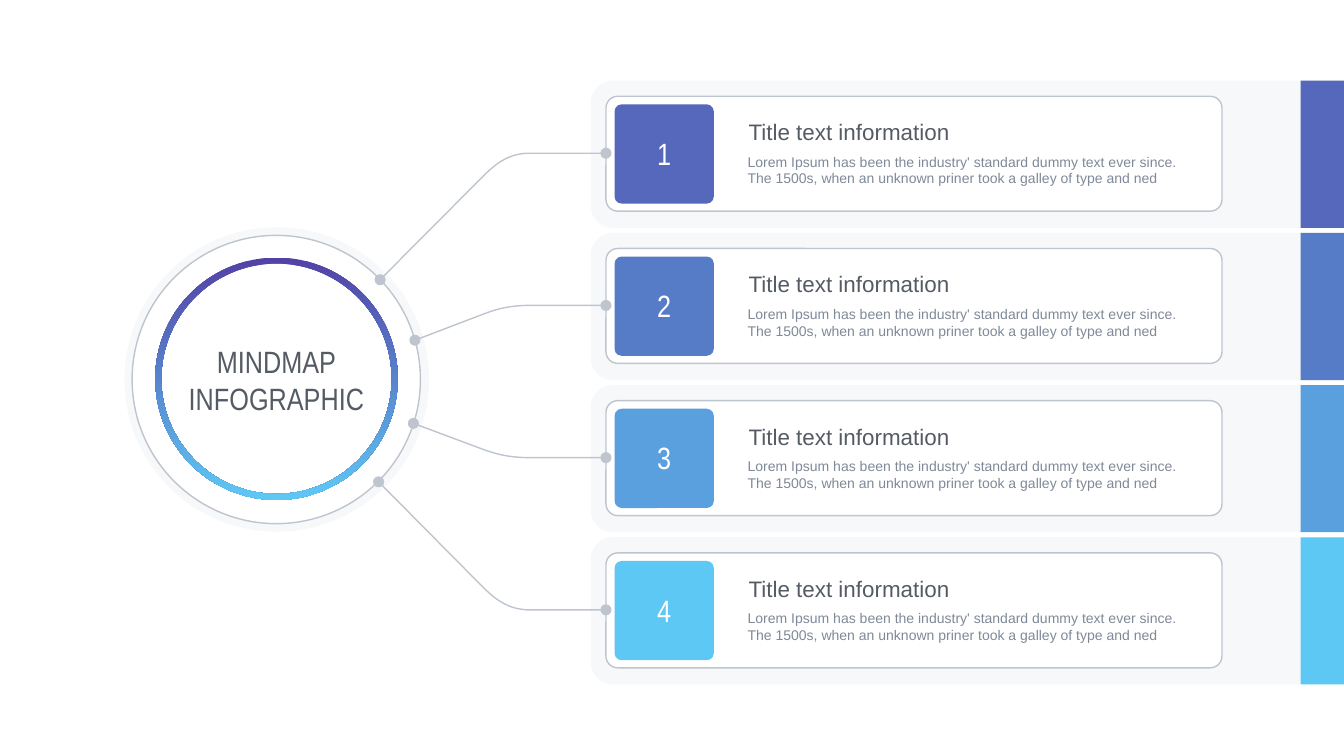
from dataclasses import dataclass

from lxml.etree import SubElement
from pptx import Presentation
from pptx.dml.color import RGBColor
from pptx.enum.shapes import MSO_SHAPE
from pptx.enum.text import MSO_ANCHOR, MSO_AUTO_SIZE, PP_ALIGN
from pptx.oxml.ns import qn
from pptx.util import Inches, Pt

INK, MUTED, GREY, PALE, WHITE = "555B64", "7F8998", "BFC5CE", "EFF0F5", "FFFFFF"
PITCH = 3.02  # distance from one row to the next
DOT = 0.22
LINK_END = 12.02
HEADING = "Title text information"
BODY = ("Lorem Ipsum has been the industry' standard dummy text ever since. "
        "The 1500s, when an unknown priner took a galley of type and ned")


@dataclass(frozen=True)
class Branch:
    color: str
    start: tuple[float, float]  # dot on the hub circle
    rise: float  # height of the knee above (-) or below (+) the row's link


@dataclass(frozen=True)
class TextStyle:
    size: int
    font: str
    color: str
    align: PP_ALIGN = PP_ALIGN.LEFT
    anchor: MSO_ANCHOR = MSO_ANCHOR.TOP
    wrap: bool = True
    inset: tuple[float, float] = (0.1, 0.05)


BRANCHES = [
    Branch("5568BC", (7.54, 5.55), 0.42),
    Branch("567BC7", (8.23, 6.75), 0.16),
    Branch("5AA0DF", (8.2, 8.4), -0.15),
    Branch("5EC8F5", (7.51, 9.56), -0.41),
]
CENTRED = {"align": PP_ALIGN.CENTER, "anchor": MSO_ANCHOR.MIDDLE, "inset": (0.06, 0.06)}
HUB_STYLE = TextStyle(44, "Arial Narrow", INK, **CENTRED)
NUMBER_STYLE = TextStyle(44, "Arial Narrow", WHITE, **CENTRED)
HEADING_STYLE = TextStyle(32, "Arial", INK, wrap=False)
BODY_STYLE = TextStyle(20, "Arial", MUTED)


def rgb(value: str) -> RGBColor:
    return RGBColor.from_string(value)


def set_all(target, values: dict) -> None:
    for name, value in values.items():
        setattr(target, name, value)


def paint(shape, fill: str | None, line: str | None = None, alpha: int = 100) -> None:
    shape.shadow.inherit = False
    if fill is None:
        shape.fill.background()
    else:
        shape.fill.solid()
        shape.fill.fore_color.rgb = rgb(fill)
        if alpha < 100:
            color = shape.fill._xPr.find(f".//{qn('a:srgbClr')}")
            SubElement(color, qn("a:alpha"), val=str(alpha * 1000))
    if line is None:
        shape.line.fill.background()
    else:
        shape.line.color.rgb = rgb(line)
        shape.line.width = Pt(2)


def add_shape(page, kind, left: float, top: float, width: float, height: float,
              fill: str | None, line: str | None = None, alpha: int = 100,
              adjust: float | None = None):
    shape = page.shapes.add_shape(kind, *map(Inches, (left, top, width, height)))
    if adjust is not None:
        shape.adjustments[0] = adjust
    paint(shape, fill, line, alpha)
    return shape


def write(box, lines: list[str], style: TextStyle) -> None:
    frame = box.text_frame
    across, down = map(Inches, style.inset)
    set_all(frame, {
        "text": "\n".join(lines), "word_wrap": style.wrap,
        "auto_size": MSO_AUTO_SIZE.SHAPE_TO_FIT_TEXT, "vertical_anchor": style.anchor,
        "margin_left": across, "margin_right": across,
        "margin_top": down, "margin_bottom": down,
    })
    for para in frame.paragraphs:
        para.alignment = style.align
        for span in para.runs:
            set_all(span.font, {"size": Pt(style.size), "name": style.font})
            span.font.color.rgb = rgb(style.color)


def add_text(page, left: float, top: float, width: float, height: float,
             text: str, style: TextStyle) -> None:
    box = page.shapes.add_textbox(*map(Inches, (left, top, width, height)))
    write(box, [text], style)


def add_dot(page, x: float, y: float) -> None:
    add_shape(page, MSO_SHAPE.OVAL, x - DOT / 2, y - DOT / 2, DOT, DOT, GREY)


def bend(points: list[tuple[float, float]], steps: int = 16) -> list[tuple[float, float]]:
    """Points along a cubic curve with the four given control points."""
    curve = []
    for step in range(steps + 1):
        t = step / steps
        weights = ((1 - t) ** 3, 3 * t * (1 - t) ** 2, 3 * t * t * (1 - t), t ** 3)
        curve.append(tuple(sum(w * p[axis] for w, p in zip(weights, points))
                           for axis in (0, 1)))
    return curve


def add_link(page, branch: Branch, y: float) -> None:
    knee = [(9.62, y + branch.rise), (9.81, y + 0.57 * branch.rise),
            (10.05, y + 0.05 * branch.rise), (10.45, y)]
    route = bend(knee) + [(LINK_END, y)]
    builder = page.shapes.build_freeform(*map(Inches, branch.start))
    builder.add_line_segments([(Inches(a), Inches(b)) for a, b in route], close=False)
    paint(builder.convert_to_shape(), None, GREY)


def add_hub(page) -> None:
    add_shape(page, MSO_SHAPE.DONUT, 2.47, 4.51, 6.04, 6.04, PALE, alpha=45, adjust=0.025)
    ring = add_shape(page, MSO_SHAPE.DONUT, 3.08, 5.11, 4.81, 4.81, WHITE, adjust=0.025)
    ring.fill.gradient()
    ring.fill.gradient_angle = 270
    for stop, position, color in zip(ring.fill.gradient_stops, (0, 1), ("5242A5", "5EC8F5")):
        stop.position = position
        stop.color.rgb = rgb(color)
    title = page.shapes.title
    set_all(title, {"left": Inches(3.27), "top": Inches(6.74),
                    "width": Inches(4.43), "height": Inches(1.58)})
    write(title, ["MINDMAP", "INFOGRAPHIC"], HUB_STYLE)
    add_shape(page, MSO_SHAPE.OVAL, 2.62, 4.67, 5.72, 5.72, None, GREY)


def add_row(page, number: int, branch: Branch) -> None:
    top = 1.6 + PITCH * (number - 1)
    link_y = top + 1.44
    rounded = MSO_SHAPE.ROUNDED_RECTANGLE
    # Pale band, outlined card and numbered tile
    add_shape(page, rounded, 11.72, top, 15.61, 2.92, PALE, alpha=45, adjust=0.151)
    add_shape(page, rounded, 12.02, top + 0.31, 12.22, 2.28, WHITE, GREY, adjust=0.102)
    add_shape(page, rounded, 12.19, top + 0.47, 1.97, 1.97, branch.color, adjust=0.072)
    add_text(page, 12.19, top + 1.02, 1.97, 0.84, str(number), NUMBER_STYLE)
    # Wording
    add_text(page, 14.73, top + 1.39, 8.79, 0.77, BODY, BODY_STYLE)
    add_text(page, 14.75, top + 0.7, 4.2, 0.64, HEADING, HEADING_STYLE)
    # Link to the hub, with a dot at each end
    add_link(page, branch, link_y)
    add_dot(page, LINK_END, link_y)
    add_dot(page, *branch.start)
    # Colour bar at the slide edge
    add_shape(page, MSO_SHAPE.RECTANGLE, 25.8, top, 0.87, 2.92, branch.color)


def main() -> None:
    deck = Presentation()
    set_all(deck, {"slide_width": Inches(26.66), "slide_height": Inches(15)})
    page = deck.slides.add_slide(deck.slide_layouts[5])
    add_hub(page)
    for number, branch in enumerate(BRANCHES, start=1):
        add_row(page, number, branch)
    deck.save("out.pptx")


if __name__ == "__main__":
    main()
